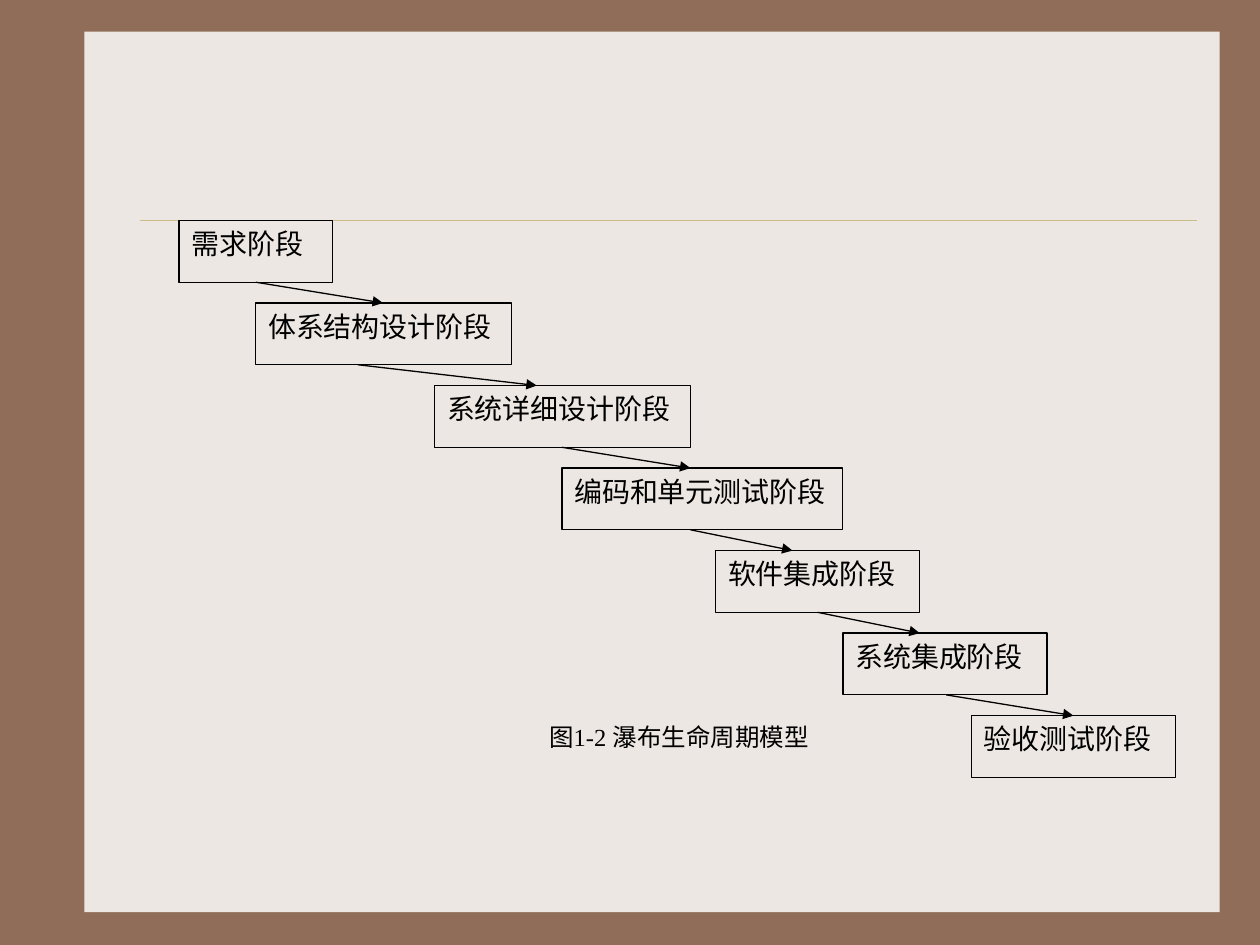
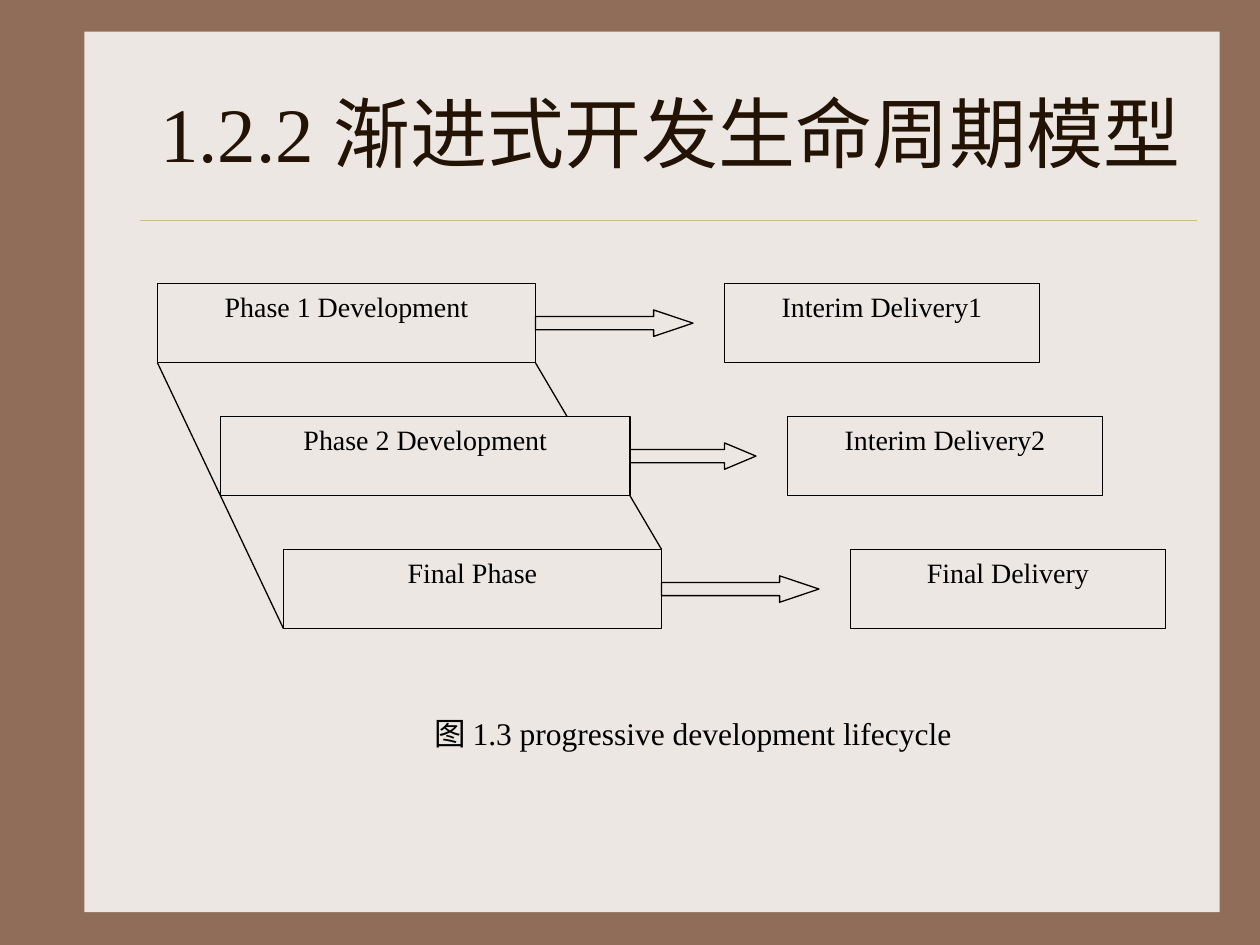
from pptx import Presentation
from pptx.dml.color import RGBColor
from pptx.enum.shapes import MSO_CONNECTOR as Line, MSO_SHAPE as Shape
from pptx.enum.text import MSO_ANCHOR as Anchor, MSO_AUTO_SIZE as Auto, PP_ALIGN as Align
from pptx.oxml.ns import qn
from pptx.util import Inches, Pt
from lxml.etree import SubElement

# Shared look
BROWN = RGBColor(0x90, 0x6D, 0x58)
CREAM = RGBColor(0xED, 0xE7, 0xE3)
GOLD = RGBColor(0xCB, 0xBD, 0x83)
DARK = RGBColor(0x22, 0x13, 0x04)
BLACK = RGBColor(0, 0, 0)
FONT = "Times New Roman"

# Waterfall stages: text, left, width, x of arrow in, x of arrow out
STAGES = [
    ("需求阶段", 1.42, 1.22, None, 2.03),
    ("体系结构设计阶段", 2.03, 2.03, 3.04, 2.84),
    ("系统详细设计阶段", 3.45, 2.03, 4.26, 4.46),
    ("编码和单元测试阶段", 4.46, 2.23, 5.48, 5.48),
    ("软件集成阶段", 5.68, 1.62, 6.29, 6.49),
    ("系统集成阶段", 6.69, 1.62, 7.3, 7.51),
    ("验收测试阶段", 7.71, 1.62, 8.52, None),
]
STAGE_TOP, STAGE_END, STAGE_H = 1.75, 5.68, 0.49
FALL_NOTE = "图1-2 瀑布生命周期模型"

# Progressive phases: text, width, arrow length, delivery
TITLE = "1.2.2 渐进式开发生命周期模型"
PHASES = [
    ("Phase 1 Development", 3, 1.25, "Interim Delivery1"),
    ("Phase 2 Development", 3.25, 1, "Interim Delivery2"),
    ("Final Phase", 3, 1.25, "Final Delivery"),
]
PHASE_TOP, PHASE_END, PHASE_H = 2.25, 4.36, 0.63
ARROW_H = 0.21
PHASE_NOTE = "图 1.3 progressive development lifecycle"


def write(shape, text, size, align, color=BLACK, anchor=Anchor.TOP):
    frame = shape.text_frame
    frame.word_wrap = True
    frame.auto_size = Auto.NONE
    frame.vertical_anchor = anchor
    para = frame.paragraphs[0]
    para.text = text
    para.alignment = align
    para.font.name = FONT
    para.font.size = Pt(size)
    para.font.color.rgb = color


def draw(slide, kind, x, y, w, h):
    """Add an unfilled shape with a thin black outline."""
    shape = slide.shapes.add_shape(kind, Inches(x), Inches(y), Inches(w), Inches(h))
    shape.shadow.inherit = False
    shape.fill.background()
    shape.line.color.rgb = BLACK
    shape.line.width = Pt(0.75)
    return shape


def box(slide, text, x, y, w, h, align):
    write(draw(slide, Shape.RECTANGLE, x, y, w, h), text, 16, align)


def note(slide, text, x, y, w, h, size, align):
    shape = slide.shapes.add_textbox(Inches(x), Inches(y), Inches(w), Inches(h))
    write(shape, text, size, align)


def link(slide, x1, y1, x2, y2, color=BLACK, width=0.75, head=False):
    line = slide.shapes.add_connector(
        Line.STRAIGHT, Inches(x1), Inches(y1), Inches(x2), Inches(y2))
    line.line.color.rgb = color
    line.line.width = Pt(width)
    if head:
        SubElement(line.line._get_or_add_ln(), qn("a:tailEnd"), type="triangle")
    SubElement(line.element.spPr, qn("a:effectLst"))
    return line


def start(deck, title=None):
    """Add a slide with the panel, the rule and, if given, the title."""
    slide = deck.slides.add_slide(deck.slide_layouts[5 if title else 6])
    panel = draw(slide, Shape.RECTANGLE, 0.67, 0.25, 9.01, 6.99)
    panel.fill.solid()
    panel.fill.fore_color.rgb = CREAM
    panel.line.fill.background()
    rule = link(slide, 1.11, 1.75, 9.5, 1.75, GOLD, 0.25)
    if title:
        head = slide.shapes.title
        head.left, head.top = Inches(1.17), Inches(0.42)
        head.width, head.height = Inches(8.33), Inches(1.25)
        write(head, title, 44, Align.LEFT, DARK, Anchor.MIDDLE)
        rule.element.addnext(head.element)  # bring the title above the panel
    return slide


def waterfall(deck):
    slide = start(deck)
    step = (STAGE_END - STAGE_TOP) / (len(STAGES) - 1)
    tops = [STAGE_TOP + step * i for i in range(len(STAGES))]
    for (text, x, w, _, _), y in zip(STAGES, tops):
        box(slide, text, x, y, w, STAGE_H, Align.JUSTIFY)
    # Arrows from each stage to the next
    for prior, after, y in zip(STAGES, STAGES[1:], tops):
        link(slide, prior[4], y + STAGE_H, after[3], y + step, head=True)
    note(slide, FALL_NOTE, 4.26, STAGE_END, 2.44, STAGE_H, 14, Align.JUSTIFY)


def progress(deck):
    slide = start(deck, TITLE)
    last = len(PHASES) - 1
    step = (PHASE_END - PHASE_TOP) / last
    for i, (text, w, reach, goal) in enumerate(PHASES):
        x, y = 1.25 + 0.5 * i, PHASE_TOP + step * i
        edge = x + w
        box(slide, text, x, y, w, PHASE_H, Align.CENTER)
        arrow = draw(slide, Shape.RIGHT_ARROW, edge,
                     y + (PHASE_H - ARROW_H) / 2, reach, ARROW_H)
        arrow.adjustments[1] = reach / ARROW_H / 4
        box(slide, goal, x + 4.5, y, 2.5, PHASE_H, Align.CENTER)
        if i < last:
            link(slide, edge, y + PHASE_H, edge + 0.25, y + step)
    # Left edge that joins the first and last phases
    link(slide, 1.25, PHASE_TOP + PHASE_H, 2.25, PHASE_END + PHASE_H)
    note(slide, PHASE_NOTE, 3, 5.62, 5, PHASE_H, 18, Align.CENTER)


def main():
    deck = Presentation()
    deck.slide_width, deck.slide_height = Inches(10), Inches(7.5)
    back = deck.slide_master.background.fill
    back.solid()
    back.fore_color.rgb = BROWN
    waterfall(deck)
    progress(deck)
    deck.save("out.pptx")


if __name__ == "__main__":
    main()
